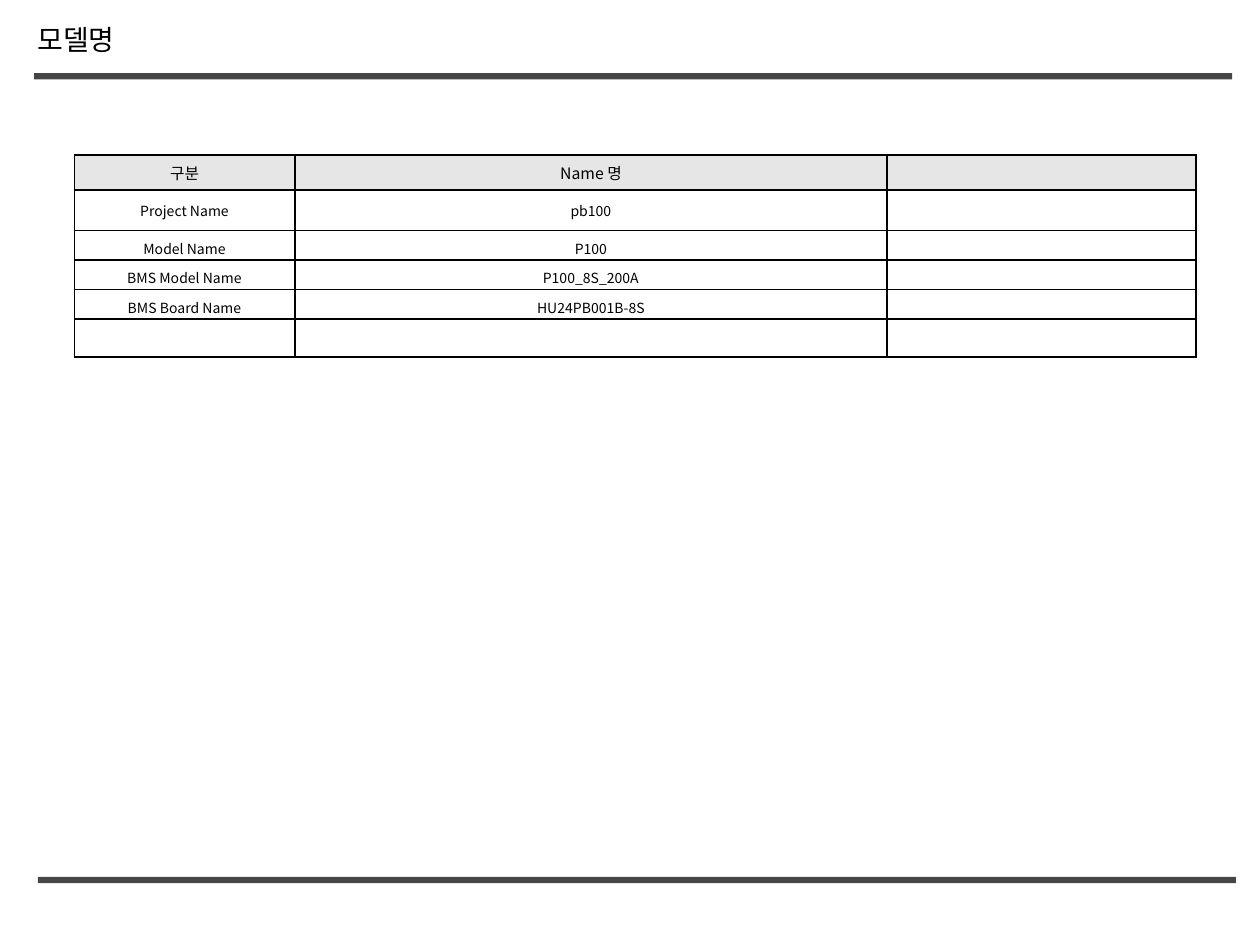
import pptx
import pptx.dml.color
import pptx.enum.shapes
import pptx.enum.text
import pptx.oxml.ns
import pptx.util
from lxml import etree

COLUMNS, ROWS = 100, 75
SLIDE_WIDTH, SLIDE_HEIGHT = pptx.util.Inches(10), pptx.util.Inches(7.5)

TABLE_COLUMNS = [17.5, 47, 24.5]
HEADER = ["구분", "Name 명", ""]
NAMES = [
    ("Project Name", "pb100", 3.2),
    ("Model Name", "P100", 2.35),
    ("BMS Model Name", "P100_8S_200A", 2.35),
    ("BMS Board Name", "HU24PB001B-8S", 2.35),
    ("", "", 3),
]


def color(hex_string):
    return pptx.dml.color.RGBColor.from_string(hex_string)


def add_xml(parent, tag, **attributes):
    return etree.SubElement(parent, pptx.oxml.ns.qn(tag), **attributes)


class Sheet:
    """Holds the style and the slide; lengths are columns and rows of the grid."""

    font = "Noto Sans CJK KR"
    ink, bar_color, header_fill = "000000", "464646", "E7E6E6"

    def __init__(self, slide):
        self.slide = slide

    def across(self, columns):
        return round(SLIDE_WIDTH * columns / COLUMNS)

    def down(self, rows):
        return round(SLIDE_HEIGHT * rows / ROWS)

    def place(self, left, top, width, height):
        return self.across(left), self.down(top), self.across(width), self.down(height)

    def set_text(self, paragraph, text, size):
        """Set the text; an empty paragraph still gets its size, which sets the row height."""
        paragraph.text = text
        for span in paragraph.runs:
            span.font.size = pptx.util.Pt(size)
            span.font.name = self.font
            span.font.color.rgb = color(self.ink)
            add_xml(span._r.get_or_add_rPr(), "a:ea", typeface=self.font)
        if not text:
            add_xml(paragraph._p, "a:endParaRPr", sz=str(size * 100))

    def bar(self, *area):
        bar = self.slide.shapes.add_shape(
            pptx.enum.shapes.MSO_SHAPE.RECTANGLE, *self.place(*area))
        bar.shadow.inherit = False
        bar.fill.solid()
        bar.fill.fore_color.rgb = color(self.bar_color)
        bar.line.fill.background()

    def title(self, text, *area):
        box = self.slide.shapes.add_textbox(*self.place(*area))
        box.text_frame.word_wrap = False
        box.text_frame.auto_size = pptx.enum.text.MSO_AUTO_SIZE.SHAPE_TO_FIT_TEXT
        self.set_text(box.text_frame.paragraphs[0], text, 16)

    def border(self, cell):
        properties = cell._tc.get_or_add_tcPr()
        for position, side in enumerate(("a:lnL", "a:lnR", "a:lnT", "a:lnB")):
            line = add_xml(properties, side, w=str(pptx.util.Pt(1)))
            add_xml(add_xml(line, "a:solidFill"), "a:srgbClr", val=self.ink)
            properties.insert(position, line)

    def cell(self, cell, text, size, fill=None, top=0.3, bottom=0.3):
        if fill:
            cell.fill.solid()
            cell.fill.fore_color.rgb = color(fill)
        else:
            cell.fill.background()
        self.border(cell)
        cell.margin_top, cell.margin_bottom = self.down(top), self.down(bottom)
        cell.vertical_anchor = pptx.enum.text.MSO_ANCHOR.MIDDLE
        paragraph = cell.text_frame.paragraphs[0]
        paragraph.alignment = pptx.enum.text.PP_ALIGN.CENTER
        self.set_text(paragraph, text, size)

    def table(self, left, top, widths, header, header_height, names):
        heights = [header_height] + [height for _, _, height in names]
        table = self.slide.shapes.add_table(
            len(heights), len(widths),
            *self.place(left, top, sum(widths), sum(heights))).table
        for column, width in zip(table.columns, widths):
            column.width = self.across(width)
        for row, height in zip(table.rows, heights):
            row.height = self.down(height)
        for cell, text in zip(table.rows[0].cells, header):
            self.cell(cell, text, 9, self.header_fill)
        for row, (label, name, height) in zip(list(table.rows)[1:], names):
            margins = {"top": 0.5, "bottom": 0.1} if height < 2.5 else {}
            for cell, text in zip(row.cells, (label, name, "")):
                self.cell(cell, text, 8, **margins)


def main():
    deck = pptx.Presentation()
    deck.slide_width, deck.slide_height = SLIDE_WIDTH, SLIDE_HEIGHT
    sheet = Sheet(deck.slides.add_slide(deck.slide_layouts[6]))
    sheet.bar(2.7, 5.8, 95.1, 0.5)
    sheet.bar(3, 69.6, 95.1, 0.5)
    sheet.table(5.9, 12.3, TABLE_COLUMNS, HEADER, 2.8, NAMES)
    sheet.title("모델명", 2, 1.3, 8.8, 3.7)
    deck.save("out.pptx")


if __name__ == "__main__":
    main()
